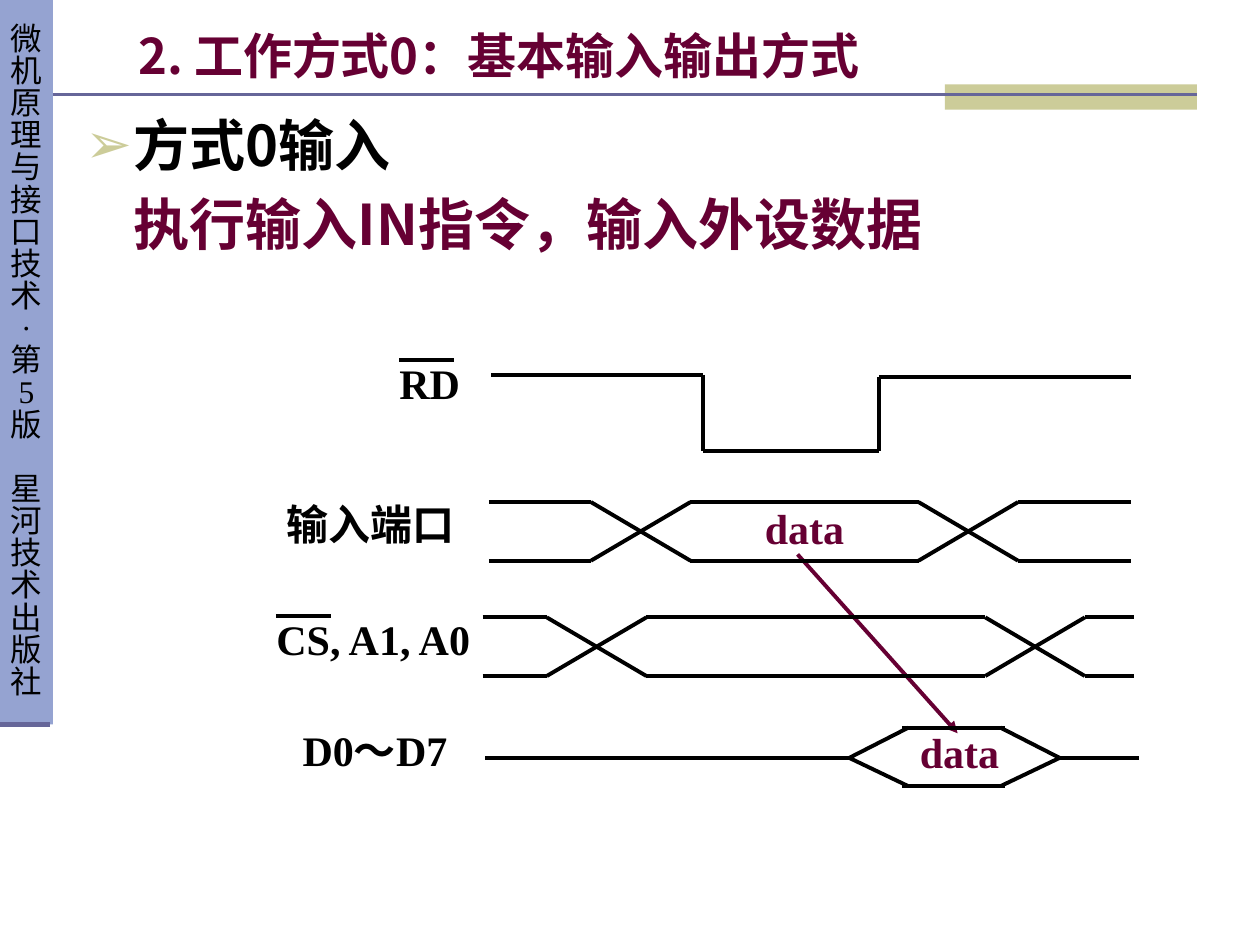
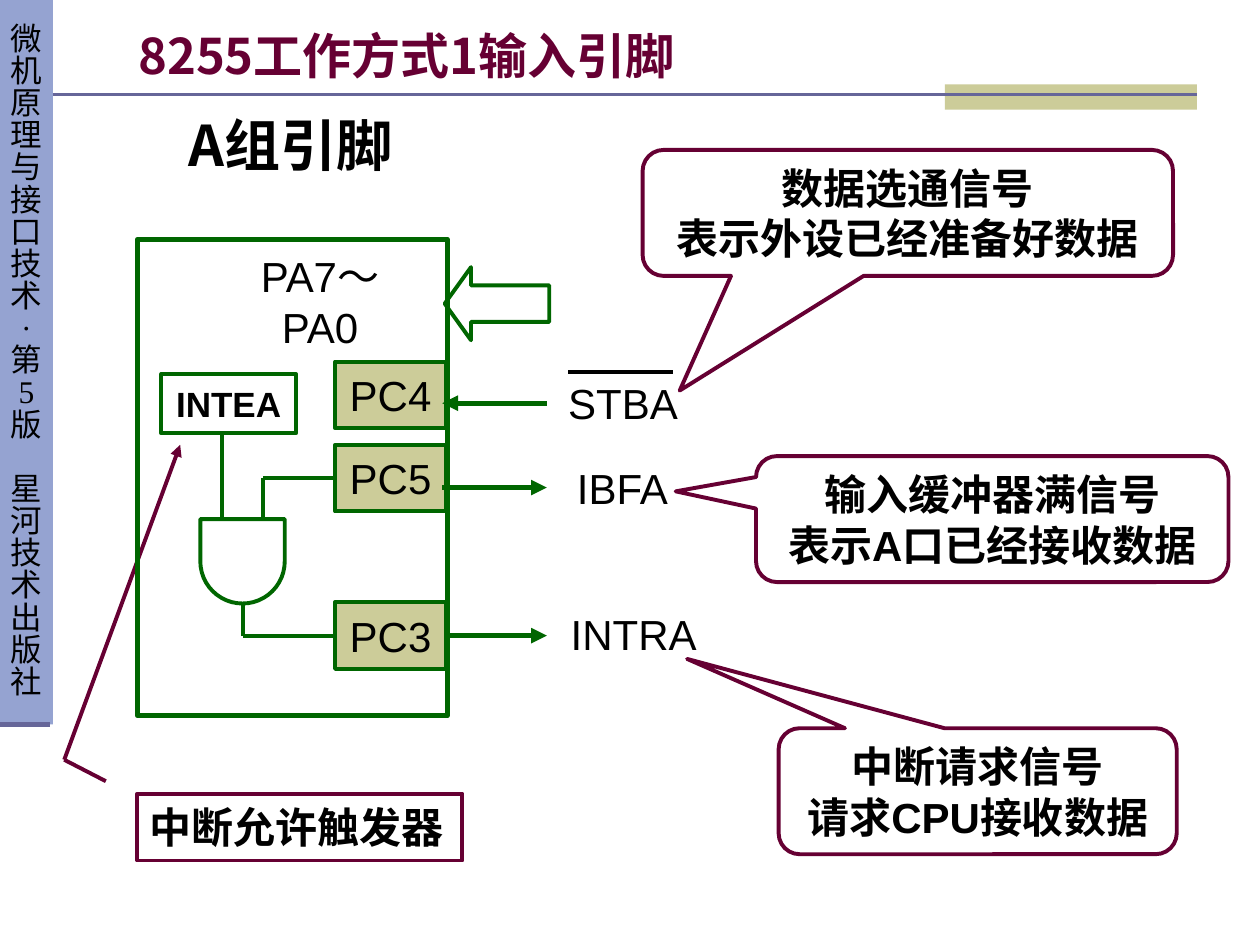
from lxml import etree
from pptx import Presentation
from pptx.dml.color import RGBColor
from pptx.enum.shapes import MSO_CONNECTOR, MSO_SHAPE
from pptx.enum.text import MSO_ANCHOR, PP_ALIGN
from pptx.oxml.ns import qn
from pptx.util import Inches, Pt

BLACK = RGBColor(0x00, 0x00, 0x00)
WINE = RGBColor(0x66, 0x00, 0x33)
GREEN = RGBColor(0x00, 0x66, 0x00)
KHAKI = RGBColor(0xCC, 0xCC, 0x99)
BLUE = RGBColor(0x95, 0xA3, 0xD1)
SLATE = RGBColor(0x66, 0x66, 0x99)

SANS, SERIF, CJK = "Arial", "Times New Roman", "Noto Sans CJK SC"
LEFT, CENTER, RIGHT = PP_ALIGN.LEFT, PP_ALIGN.CENTER, PP_ALIGN.RIGHT
JUSTIFY = PP_ALIGN.JUSTIFY
TOP, MIDDLE = MSO_ANCHOR.TOP, MSO_ANCHOR.MIDDLE
STRAIGHT = MSO_CONNECTOR.STRAIGHT
RECT, CALLOUT = MSO_SHAPE.RECTANGLE, MSO_SHAPE.ROUNDED_RECTANGULAR_CALLOUT
LEFT_ARROW, DELAY = MSO_SHAPE.LEFT_ARROW, MSO_SHAPE.FLOWCHART_DELAY

prs = Presentation()
prs.slide_width, prs.slide_height = Inches(10), Inches(7.5)
U = prs.slide_width // 100  # grid of 100 columns by 75 rows


def put(s, kind, box, paras=(), size=24, font=SANS, color=BLACK, bold=False,
        align=CENTER, anchor=MIDDLE, wrap=False, inset=None,
        fill=None, line=None, width=2.25):
    """Add a shape, or a text box when kind is None; box is in grid cells."""
    x, y, w, h = (int(v * U) for v in box)
    if kind is None:
        sp = s.shapes.add_textbox(x, y, w, h)
    else:
        sp = s.shapes.add_shape(kind, x, y, w, h)
        sp.shadow.inherit = False
        if fill is None:
            sp.fill.background()
        else:
            sp.fill.solid()
            sp.fill.fore_color.rgb = fill
        if line is None:
            sp.line.fill.background()
        else:
            sp.line.color.rgb = line
            sp.line.width = Pt(width)
    tf = sp.text_frame
    tf.word_wrap, tf.vertical_anchor = wrap, anchor
    if inset is not None:
        tf.margin_left = tf.margin_right = tf.margin_top = tf.margin_bottom = inset
    for i, text in enumerate(paras):
        p = tf.paragraphs[0] if i == 0 else tf.add_paragraph()
        p.alignment = align
        r = p.add_run()
        r.text = text
        r.font.size, r.font.name, r.font.bold = Pt(size), font, bold
        r.font.color.rgb = color
        etree.SubElement(r._r.get_or_add_rPr(), qn("a:ea"), typeface=CJK)
    return sp


def link(s, x1, y1, x2, y2, color=BLACK, width=2.25, arrow=False):
    """Add a straight line between two grid points."""
    c = s.shapes.add_connector(STRAIGHT, *(int(v * U) for v in (x1, y1, x2, y2)))
    c.line.color.rgb, c.line.width = color, Pt(width)
    if arrow:
        etree.SubElement(c.line._get_or_add_ln(), qn("a:tailEnd"), type="triangle")
    etree.SubElement(c._element.spPr, qn("a:effectLst"))
    return c


# Frame shared by both slides
BOOK, PRESS = "微机原理与接口技术·第5版", "星河技术出版社"
TITLES = ["2. 工作方式0：基本输入输出方式", "8255工作方式1输入引脚"]
slides = []
for title in TITLES:
    s = prs.slides.add_slide(prs.slide_layouts[6])
    band = put(s, RECT, (0, 0, 4.2, 57.5), BOOK + PRESS, 18, SERIF, fill=BLUE)
    for p in band.text_frame.paragraphs:
        p.line_spacing = 0.85
    band.text_frame.paragraphs[len(BOOK)].space_before = Pt(18.4)
    put(s, RECT, (75, 6.7, 20, 2), fill=KHAKI)
    link(s, 4.2, 7.5, 95, 7.5, SLATE, 1.5)
    link(s, 0, 57.5, 4, 57.5, SLATE, 3)
    put(s, None, (10, 1.7, 85, 5.3), [title], 28, CJK, WINE, True, LEFT, wrap=True)
    slides.append(s)
timing, pins = slides

# Slide 1: body text
body = put(timing, None, (5.8, 8.3, 90.8, 20),
           ["方式0输入", "执行输入IN指令，输入外设数据"], 32, CJK, BLACK, True,
           JUSTIFY, TOP, wrap=True)
head, detail = body.text_frame.paragraphs
for p, indent in ((head, -0.38), (detail, 0)):
    pPr = p._p.get_or_add_pPr()
    pPr.set("marL", str(Inches(0.38)))
    pPr.set("indent", str(Inches(indent)))
pPr = head._p.get_or_add_pPr()
clr = etree.SubElement(pPr, qn("a:buClr"))
etree.SubElement(clr, qn("a:srgbClr"), val=str(KHAKI))
etree.SubElement(pPr, qn("a:buFont"), typeface=SANS)
etree.SubElement(pPr, qn("a:buChar"), char="➢")
detail.space_before = Pt(6.4)
detail.runs[0].font.color.rgb = WINE

# Slide 1: data transfer arrow and signal labels
link(timing, 63.3, 44, 76, 58.2, WINE, arrow=True)
for text, box, color, align in [
        ("data", (69.6, 57.6, 13.1, 4.7), WINE, CENTER),
        ("data", (57.3, 39.8, 13.1, 4.7), WINE, CENTER),
        ("RD", (23.5, 28.3, 13.1, 6.4), BLACK, RIGHT),
        ("输入端口", (17.5, 39.5, 18.7, 5.6), BLACK, RIGHT),
        ("CS, A1, A0", (19.5, 48.6, 17.9, 6.1), BLACK, RIGHT),
        ("D0～D7", (22.5, 57.4, 13.1, 6.4), BLACK, RIGHT)]:
    put(timing, None, box, [text], 24, SERIF, color, True, align, TOP,
        wrap=True, inset=Inches(0.01))
for x, y in ((31.7, 28.6), (21.9, 48.9)):  # bars over RD and CS
    link(timing, x, y, x + 4.35, y)

# Slide 1: read strobe
strobe = [(39, 29.75), (55.8, 29.75), (55.8, 35.8), (69.75, 35.8),
          (69.75, 29.9), (89.8, 29.9)]
for start, end in zip(strobe, strobe[1:]):
    link(timing, *start, *end)

# Slide 1: bus signals, two rails that cross twice
CROSS = 7.9
for top, x0, first, second, x1 in [(39.85, 38.8, 46.9, 72.9, 89.8),
                                   (49, 38.3, 43.4, 78.2, 90)]:
    low = top + 4.65
    for y in (top, low):
        link(timing, x0, y, first, y)
        link(timing, first + CROSS, y, second, y)
        link(timing, second + CROSS, y, x1, y)
    for x in (first, second):
        link(timing, x, low, x + CROSS, top)
        link(timing, x, top, x + CROSS, low)

# Slide 1: data bus, idle line with one hexagonal window
MID = 60.15
link(timing, 38.5, MID, 67.4, MID)
link(timing, 84.1, MID, 90.4, MID)
for y in (MID - 2.4, MID + 2.25):
    link(timing, 71.6, y, 79.8, y)
    link(timing, 67.4, MID, 72.1, y)
    link(timing, 84.1, MID, 79.4, y)

# Slide 2: heading and callouts
put(pins, None, (14, 8.3, 20.1, 7.2), ["A组引脚"], 32, CJK, BLACK, True,
    JUSTIFY, TOP)
for box, tip, lines in [
        ((51, 11.9, 42.1, 10), (-0.43, 1.41), ["数据选通信号", "表示外设已经准备好数据"]),
        ((60, 36.2, 37.5, 10), (-0.67, -0.22), ["输入缓冲器满信号", "表示A口已经接收数据"]),
        ((61.8, 57.8, 31.6, 10), (-0.73, -1.05), ["中断请求信号", "请求CPU接收数据"])]:
    sp = put(pins, CALLOUT, box, lines, bold=True, line=WINE)
    sp.adjustments[0], sp.adjustments[1] = tip

# Slide 2: note on the interrupt enable flip-flop
put(pins, RECT, (10.9, 63, 25.8, 5.3), ["中断允许触发器"], bold=True, align=LEFT,
    line=WINE)
link(pins, 5.1, 60.3, 14.3, 35.3, WINE, arrow=True)
link(pins, 5.1, 60.3, 8.4, 62, WINE)

# Slide 2: port C pins
pc4, pc5, pc3 = [
    put(pins, RECT, (26.6, y, 8.8, 5.3), [name], fill=KHAKI, line=GREEN)
    for name, y in (("PC4", 28.7), ("PC5", 35.3), ("PC3", 47.8))]

# Slide 2: port A and its input arrow
sp = put(pins, LEFT_ARROW, (35.3, 21.2, 8.3, 5.8), line=GREEN)
sp.adjustments[0], sp.adjustments[1] = 0.5, 0.36
put(pins, None, (17.4, 21.4, 16, 5), ["PA7～PA0"], wrap=True)

# Slide 2: interrupt logic
put(pins, RECT, (12.8, 29.7, 10.7, 4.7), ["INTEA"], 20, bold=True, line=GREEN)
PC5_Y, PC3_Y = 37.95, 50.45
link(pins, 17.6, 34.5, 17.6, 41.2, GREEN)
link(pins, 20.9, PC5_Y, 20.9, 41.2, GREEN)
link(pins, 20.9, PC5_Y, 26.6, PC5_Y, GREEN).end_connect(pc5, 1)
link(pins, 19.3, 47.8, 19.3, PC3_Y, GREEN)
link(pins, 19.3, PC3_Y, 26.6, PC3_Y, GREEN).end_connect(pc3, 1)

# Slide 2: handshake signals
link(pins, 35.4, PC3_Y, 43.4, PC3_Y, GREEN, 3, True).begin_connect(pc3, 3)
link(pins, 35.1, 38.7, 43.4, 38.7, GREEN, 3, True)
link(pins, 43.4, 32, 35.1, 32, GREEN, 3, True)
for name, box in [("IBFA", (44.7, 36.2, 9.4, 5)),
                  ("INTRA", (44.3, 47.8, 12, 5)),
                  ("STBA", (44.1, 29.5, 10.7, 5))]:
    put(pins, None, box, [name])
link(pins, 45.1, 29.5, 53.4, 29.5)

# Slide 2: chip outline and AND gate
put(pins, RECT, (10.9, 19, 24.6, 37.8), line=GREEN, width=3)
put(pins, DELAY, (15.9, 41.2, 6.7, 6.7), line=GREEN).rotation = 90

prs.save("out.pptx")
